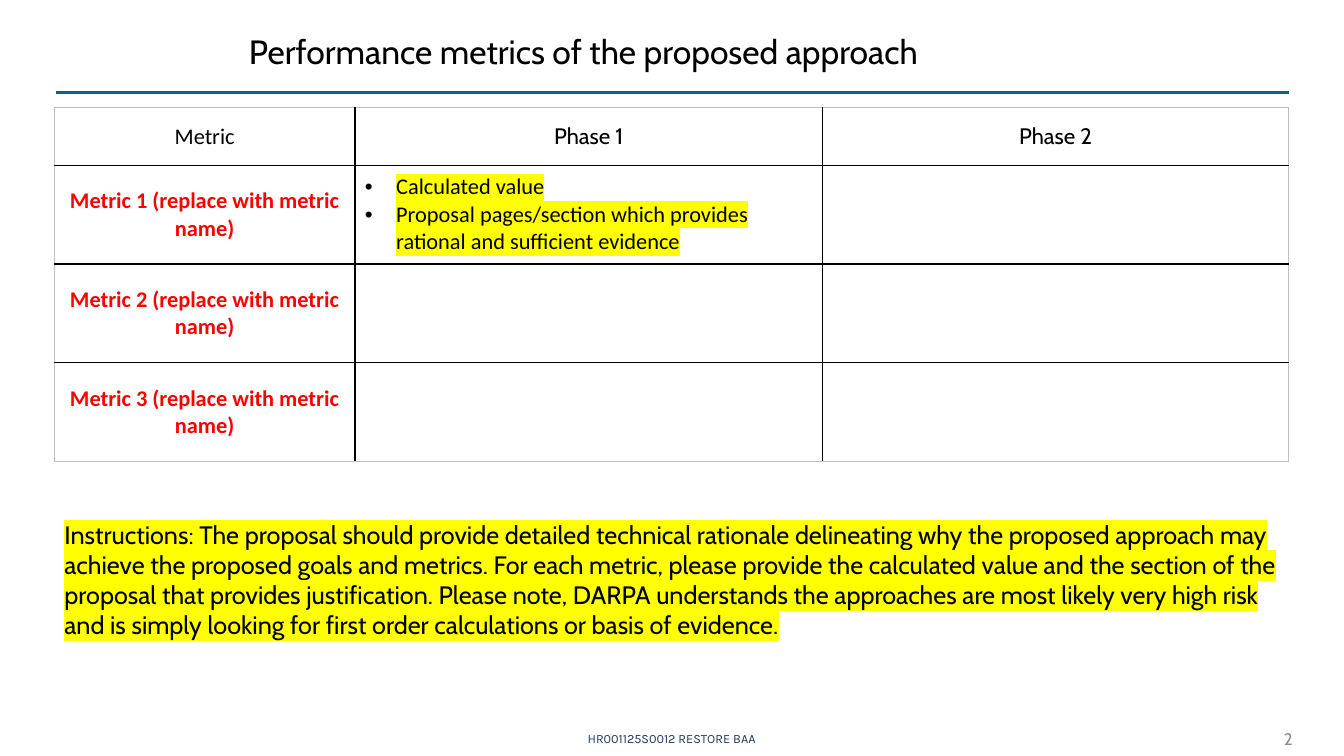
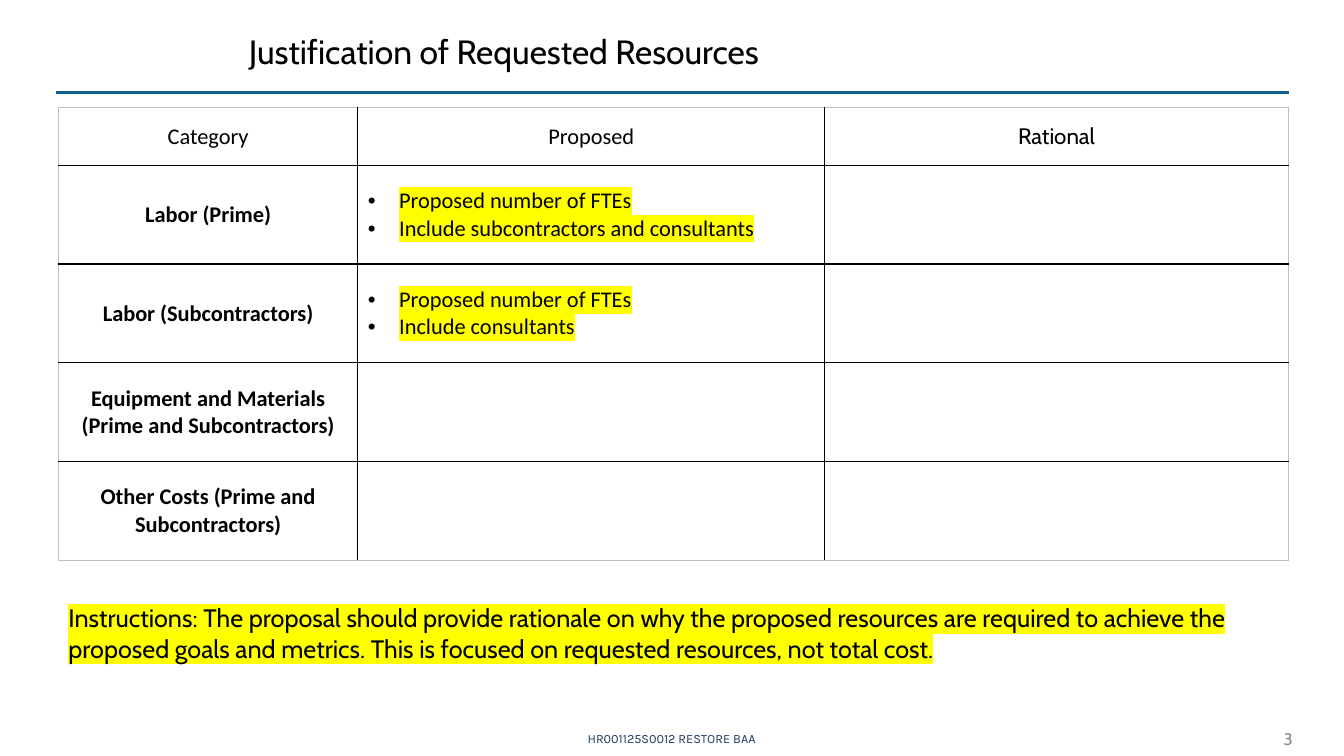
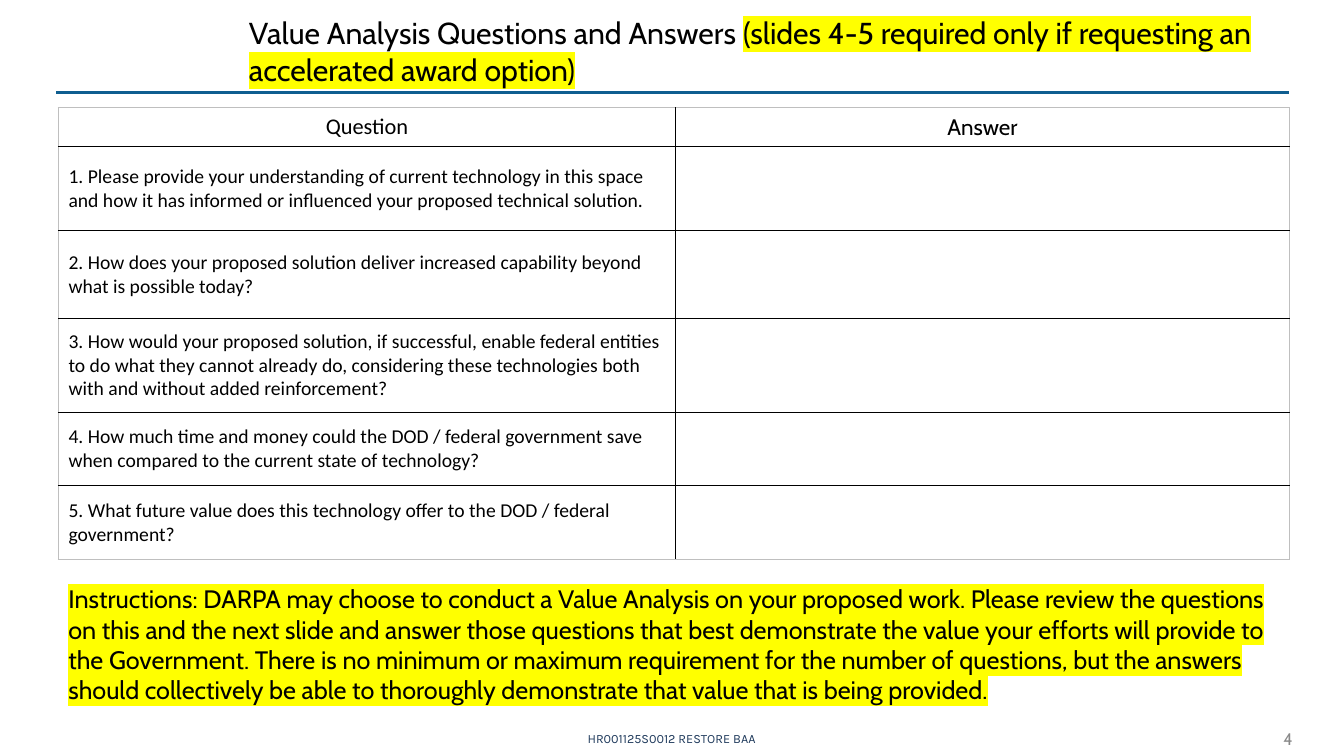
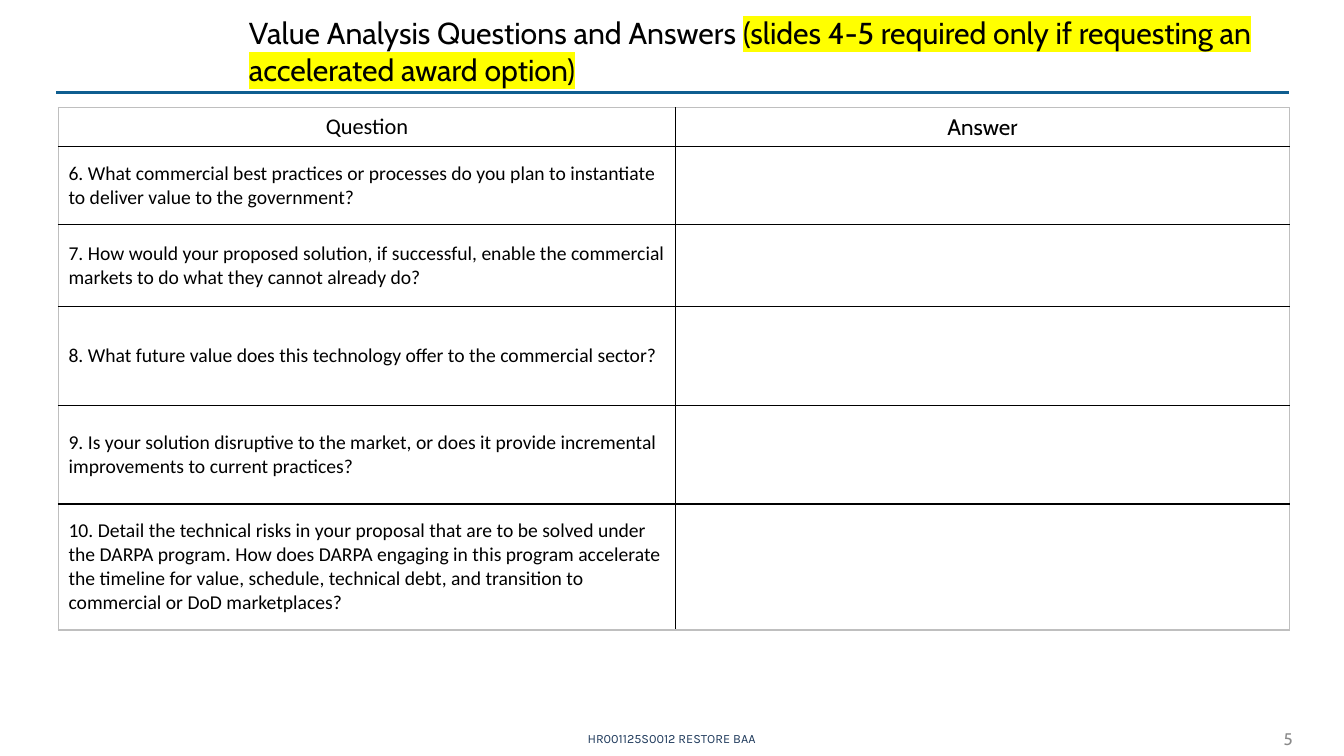
from lxml.etree import SubElement
from pptx import Presentation
from pptx.dml.color import RGBColor
from pptx.enum.shapes import MSO_CONNECTOR as Connector
from pptx.enum.text import MSO_ANCHOR as Anchor, MSO_AUTO_SIZE as AutoSize, PP_ALIGN as Align
from pptx.oxml import parse_xml
from pptx.oxml.ns import nsdecls, qn
from pptx.util import Inches, Pt

BLACK, RED, YELLOW = "000000", "FF0000", "FFFF00"
RULE_BLUE, FOOTER_BLUE, PAGE_GRAY, EDGE_GRAY = "0F5E90", "1E395B", "898989", "BFBFBF"
DISPLAY_FONT, TABLE_FONT, FOOTER_FONT = "Cabin", "Calibri", "Karla"
BULLET_INDENT = 0.31


def color(hex_code):
    return RGBColor.from_string(hex_code)


def add_text(para, text, font=DISPLAY_FONT, size=18, ink=BLACK, bold=False,
             highlight=None, align=Align.LEFT, bullet=False):
    """Append a formatted span to a paragraph."""
    if bullet:
        props = para._p.get_or_add_pPr()
        props.set("marL", str(Inches(BULLET_INDENT)))
        props.set("indent", str(-Inches(BULLET_INDENT)))
        SubElement(props, qn("a:buFont"), typeface="Arial")
        SubElement(props, qn("a:buChar"), char="•")
    para.alignment = align
    span = para.add_run()
    span.text = text
    span.font.size = Pt(size)
    span.font.bold = bold
    span.font.color.rgb = color(ink)
    if highlight:
        mark = parse_xml(f'<a:highlight {nsdecls("a")}><a:srgbClr val="{highlight}"/></a:highlight>')
        span._r.rPr.find(qn("a:solidFill")).addnext(mark)
    span.font.name = font


def set_border(cell, side, ink):
    cell._tc.get_or_add_tcPr().append(parse_xml(
        f'<a:ln{side} {nsdecls("a")} w="{Pt(1)}"><a:solidFill>'
        f'<a:srgbClr val="{ink}"/></a:solidFill></a:ln{side}>'))


def header(text, font=TABLE_FONT):
    return [dict(text=text, font=font, size=16, align=Align.CENTER)]


def label(text, ink=BLACK):
    return [dict(text=text, font=TABLE_FONT, size=16, ink=ink, bold=True, align=Align.CENTER)]


def bullets(*texts):
    return [dict(text=text, font=TABLE_FONT, size=16, highlight=YELLOW, bullet=True)
            for text in texts]


def question(text):
    return [dict(text=text, font=TABLE_FONT, size=14)]


class Briefing:
    def __init__(self):
        self.deck = Presentation()
        self.deck.slide_width = Inches(13.33)
        self.deck.slide_height = Inches(7.5)
        self.page = None

    def start_page(self, number, title, title_note=None):
        """Add a slide with its title, rule, footer and page number."""
        self.page = self.deck.slides.add_slide(self.deck.slide_layouts[6])
        self.rule()
        self.text_box(11.81, 7.17, 1.11, 0.32, [dict(
            text=str(number), size=12, ink=PAGE_GRAY, align=Align.RIGHT)])
        size = 21.6 if title_note else 24
        spans = [dict(text=title, size=size)]
        if title_note:
            spans.append(dict(text=title_note, size=size, highlight=YELLOW))
        self.text_box(2.37, 0.17, 10.41, 0.67, spans)
        self.text_box(1.94, 7.16, 9.44, 0.33, [dict(
            text="HR001125S0012 RESTORE BAA", font=FOOTER_FONT, size=9,
            ink=FOOTER_BLUE, align=Align.CENTER)])

    def rule(self):
        line = self.page.shapes.add_connector(
            Connector.STRAIGHT, Inches(0.56), Inches(0.92), Inches(12.78), Inches(0.92))
        line.line.color.rgb = color(RULE_BLUE)
        line.line.width = Pt(1.75)
        SubElement(line._element.spPr, qn("a:effectLst"))

    def text_box(self, left, top, width, height, spans, anchor=Anchor.MIDDLE):
        """Place one paragraph made of the given spans."""
        box = self.page.shapes.add_textbox(
            Inches(left), Inches(top), Inches(width), Inches(height))
        frame = box.text_frame
        frame.word_wrap = True
        frame.vertical_anchor = anchor
        for span in spans:
            add_text(frame.paragraphs[0], **span)
        return box

    def instructions(self, left, top, width, height, text):
        box = self.text_box(left, top, width, height,
                            [dict(text=text, highlight=YELLOW)], Anchor.TOP)
        box.text_frame.auto_size = AutoSize.SHAPE_TO_FIT_TEXT

    def table(self, left, widths, heights, rows):
        """Place a ruled table; each cell is a list of paragraph formats."""
        grid = self.page.shapes.add_table(
            len(heights), len(widths), Inches(left), Inches(1.07),
            Inches(sum(widths)), Inches(sum(heights))).table
        grid.first_row = grid.horz_banding = False
        for column, width in zip(grid.columns, widths):
            column.width = Inches(width)
        for row, height in zip(grid.rows, heights):
            row.height = Inches(height)
        last_row, last_column = len(heights) - 1, len(widths) - 1
        for r in range(len(heights)):
            for c in range(len(widths)):
                cell = grid.cell(r, c)
                outer_sides = dict(L=c == 0, R=c == last_column, T=r == 0, B=r == last_row)
                for side, outer in outer_sides.items():
                    set_border(cell, side, EDGE_GRAY if outer else BLACK)
                cell.fill.background()
                cell.vertical_anchor = Anchor.MIDDLE
                content = rows[r][c] if c < len(rows[r]) else []
                frame = cell.text_frame
                for index, item in enumerate(content):
                    para = frame.add_paragraph() if index else frame.paragraphs[0]
                    add_text(para, **item)

    def question_page(self, number, heights, questions):
        self.start_page(number, "Value Analysis Questions and Answers ",
                        "(slides 4-5 required only if requesting an accelerated award option)")
        rows = [[header("Question"), header("Answer", DISPLAY_FONT)]]
        rows += [[question(text)] for text in questions]
        self.table(0.58, [6.12, 6.09], [0.38] + heights, rows)


def main():
    brief = Briefing()

    brief.start_page(2, "Performance metrics of the proposed approach")
    metrics = [[label(f"Metric {n} (replace with metric name)", RED)] for n in (1, 2, 3)]
    metrics[0].append(bullets(
        "Calculated value",
        "Proposal pages/section which provides rational and sufficient evidence"))
    brief.table(0.54, [2.98, 4.64, 4.62], [0.57] + [0.98] * 3, [
        [header("Metric"), header("Phase 1", DISPLAY_FONT), header("Phase 2", DISPLAY_FONT)],
        *metrics])
    brief.instructions(
        0.54, 5.1, 12.24, 1.31,
        "Instructions: The proposal should provide detailed technical rationale delineating why "
        "the proposed approach may achieve the proposed goals and metrics. For each metric, please "
        "provide the calculated value and the section of the proposal that provides justification. "
        "Please note, DARPA understands the approaches are most likely very high risk and is simply "
        "looking for first order calculations or basis of evidence.")

    brief.start_page(3, "Justification of Requested Resources")
    brief.table(0.58, [2.97, 4.63, 4.6], [0.57] + [0.98] * 4, [
        [header("Category"), header("Proposed"), header("Rational", DISPLAY_FONT)],
        [label("Labor (Prime)"),
         bullets("Proposed number of FTEs", "Include subcontractors and consultants")],
        [label("Labor (Subcontractors)"),
         bullets("Proposed number of FTEs", "Include consultants")],
        [label("Equipment and Materials (Prime and Subcontractors)")],
        [label("Other Costs (Prime and Subcontractors)")]])
    brief.instructions(
        0.58, 5.93, 12.2, 0.71,
        "Instructions: The proposal should provide rationale on why the proposed resources are "
        "required to achieve the proposed goals and metrics. This is focused on requested "
        "resources, not total cost.")

    brief.question_page(4, [0.84, 0.87, 0.93, 0.73, 0.73], [
        "1. Please provide your understanding of current technology in this space and how it has "
        "informed or influenced your proposed technical solution.",
        "2. How does your proposed solution deliver increased capability beyond what is possible "
        "today?",
        "3. How would your proposed solution, if successful, enable federal entities to do what "
        "they cannot already do, considering these technologies both with and without added "
        "reinforcement?",
        "4. How much time and money could the DOD / federal government save when compared to the "
        "current state of technology?",
        "5. What future value does this technology offer to the DOD / federal government?"])
    brief.instructions(
        0.58, 5.74, 12.2, 1.62,
        "Instructions: DARPA may choose to conduct a Value Analysis on your proposed work. Please "
        "review the questions on this and the next slide and answer those questions that best "
        "demonstrate the value your efforts will provide to the Government. There is no minimum or "
        "maximum requirement for the number of questions, but the answers should collectively be "
        "able to thoroughly demonstrate that value that is being provided.")

    brief.question_page(5, [0.78, 0.81, 0.98, 0.98, 1.25], [
        "6. What commercial best practices or processes do you plan to instantiate to deliver "
        "value to the government?",
        "7. How would your proposed solution, if successful, enable the commercial markets to do "
        "what they cannot already do?",
        "8. What future value does this technology offer to the commercial sector?",
        "9. Is your solution disruptive to the market, or does it provide incremental improvements "
        "to current practices?",
        "10. Detail the technical risks in your proposal that are to be solved under the DARPA "
        "program. How does DARPA engaging in this program accelerate the timeline for value, "
        "schedule, technical debt, and transition to commercial or DoD marketplaces?"])

    brief.deck.save("out.pptx")


if __name__ == "__main__":
    main()
